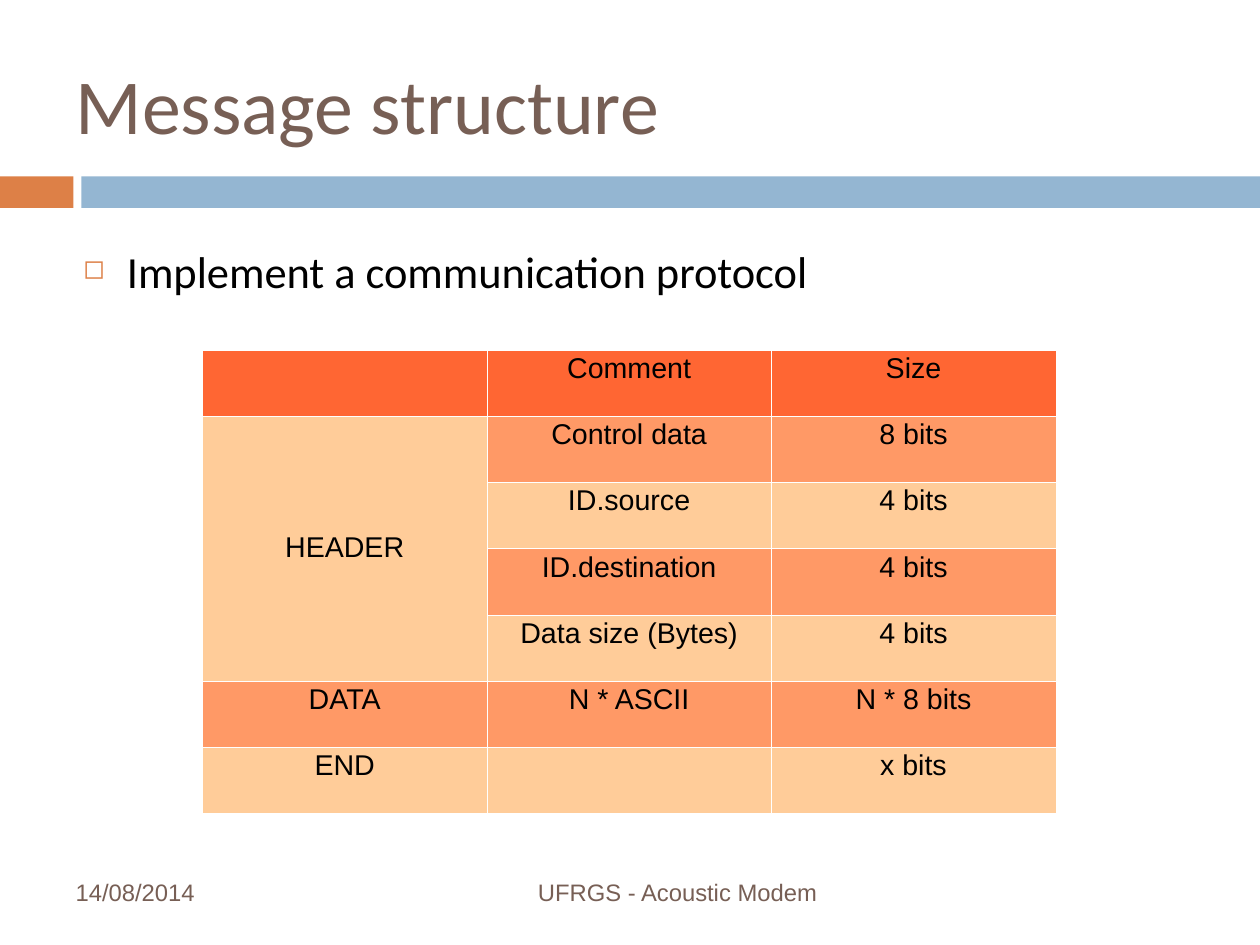
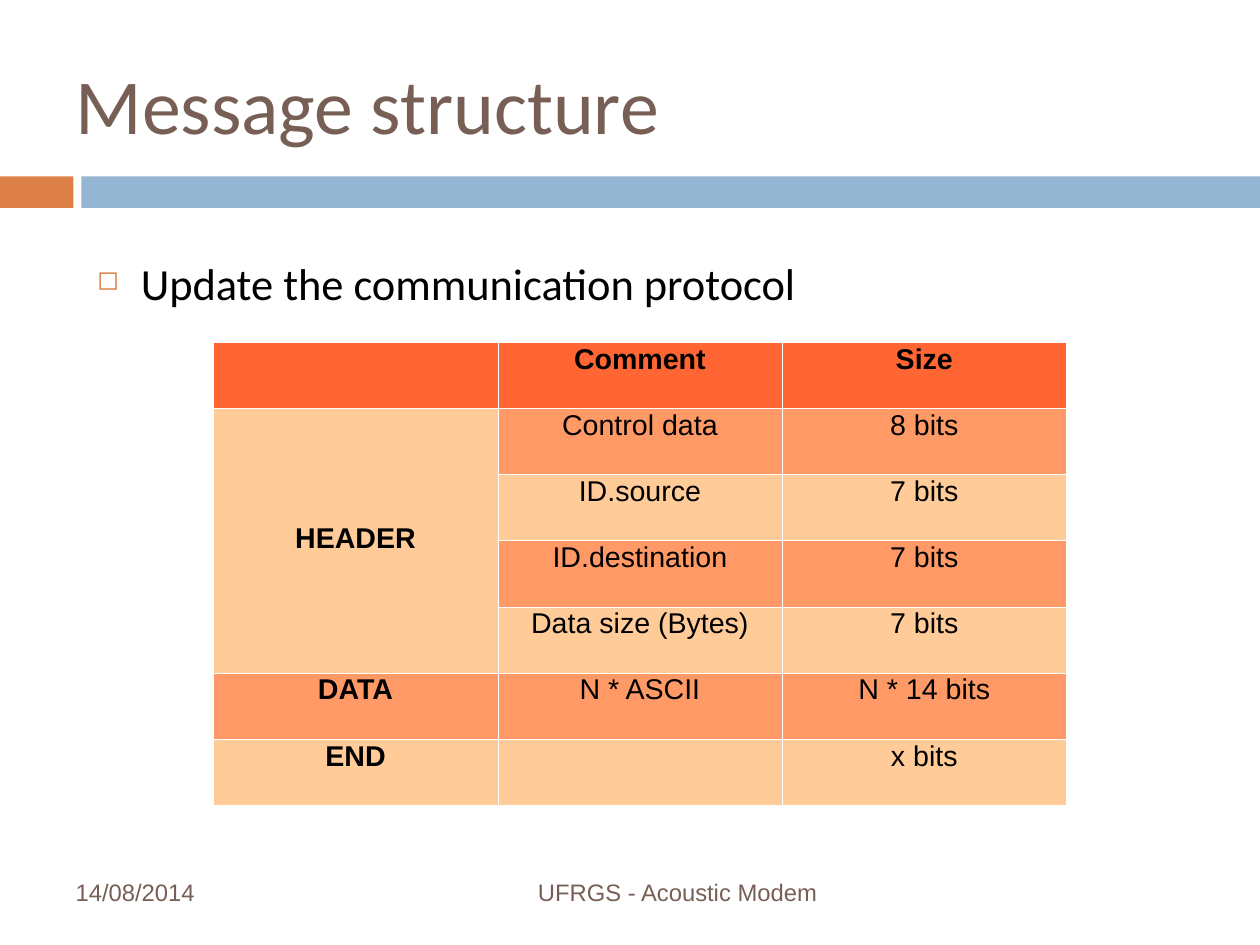
import pptx
import pptx.util
import pptx.dml.color
import pptx.enum.shapes
import pptx.enum.text
import pptx.oxml
import pptx.oxml.ns
from lxml import etree

Cm = pptx.util.Cm
Pt = pptx.util.Pt
RGB = pptx.dml.color.RGBColor
ALIGN = pptx.enum.text.PP_ALIGN
ANCHOR = pptx.enum.text.MSO_ANCHOR
qn = pptx.oxml.ns.qn

WIDTH, HEIGHT = 28, 21
EDGE = 1.4
BROWN = RGB(0x77, 0x5F, 0x55)
RUST = RGB(0xDD, 0x80, 0x47)
BLUE = RGB(0x94, 0xB6, 0xD2)
BLACK = RGB(0, 0, 0)
WHITE = RGB(0xFF, 0xFF, 0xFF)
HEAD = RGB(0xFF, 0x66, 0x33)
DARK = RGB(0xFF, 0x99, 0x66)
LIGHT = RGB(0xFF, 0xCC, 0x99)

COLS, COL_W, ROW_H = 3, 6.32, 1.47
SPAN = (1, 4)  # rows joined under HEADER


def add_run(para, text, size, font, color, bold=False):
    run = para.add_run()
    run.text = text
    run.font.size = Pt(size)
    run.font.name = font
    run.font.bold = bold
    run.font.color.rgb = color


def add_text(slide, box, anchor=ANCHOR.MIDDLE, top=0.15):
    """Add an empty text box and return its first paragraph."""
    frame = slide.shapes.add_textbox(*map(Cm, box)).text_frame
    frame.word_wrap = True
    frame.vertical_anchor = anchor
    frame.margin_left = frame.margin_right = Cm(0.28)
    frame.margin_top, frame.margin_bottom = Cm(top), Cm(0.15)
    return frame.paragraphs[0]


def add_band(slide, left, top, width, height, color):
    band = slide.shapes.add_shape(
        pptx.enum.shapes.MSO_SHAPE.RECTANGLE,
        Cm(left), Cm(top), Cm(width), Cm(height))
    band.shadow.inherit = False
    band.fill.solid()
    band.fill.fore_color.rgb = color
    band.line.fill.background()


def add_frame(slide, title):
    """Place the bands, title and footers that every slide has."""
    top, high, split, gap = 3.92, 0.7, 1.63, 0.18
    add_band(slide, 0, top, split, high, RUST)
    start = split + gap
    add_band(slide, start, top, WIDTH - start, high, BLUE)

    para = add_text(slide, (EDGE, 0.79, 22.5, 3.07), top=0.1)
    add_run(para, title, 49, "Calibri", BROWN)

    for left, width, align, text in (
            (EDGE, 6.53, ALIGN.LEFT, "14/08/2014"),
            (9.58, 8.86, ALIGN.RIGHT, "UFRGS - Acoustic Modem")):
        para = add_text(slide, (left, 19.13, width, 1.45))
        para.alignment = align
        para.line_spacing = 0.94
        add_run(para, text, 15, "Arial", BROWN)


def add_point(slide, left, top, text):
    """Place a line with a hollow square bullet."""
    para = add_text(slide, (left, top, 24.97, 13.77), ANCHOR.TOP)
    props = para._p.get_or_add_pPr()
    props.set("marL", str(Cm(0.97)))
    props.set("indent", str(-Cm(0.97)))
    tint = etree.SubElement(props, qn("a:buClr"))
    etree.SubElement(tint, qn("a:srgbClr"), val=str(RUST))
    etree.SubElement(props, qn("a:buSzPct"), val="60000")
    etree.SubElement(props, qn("a:buChar"), char="◻")
    add_run(para, text, 28, "Calibri", BLACK)


def add_edges(cell):
    """Draw a white hairline on all four sides of a cell."""
    props = cell._tc.get_or_add_tcPr()
    for spot, side in enumerate(("lnL", "lnR", "lnT", "lnB")):
        line = etree.Element(qn("a:" + side), w=str(Pt(0.06)))
        fill = etree.SubElement(line, qn("a:solidFill"))
        etree.SubElement(fill, qn("a:srgbClr"), val=str(WHITE))
        props.insert(spot, line)


def add_grid(slide, left, top, rows, space, strong):
    """Place the message table; strong makes its headings bold."""
    count = len(rows)
    table = slide.shapes.add_table(
        count, COLS, Cm(left), Cm(top),
        Cm(COLS * COL_W), Cm(count * ROW_H)).table
    table.first_row = table.horz_banding = False
    for col in table.columns:
        col.width = Cm(COL_W)
    first, last = SPAN
    for r, row in enumerate(rows):
        table.rows[r].height = Cm(ROW_H)
        for c, text in enumerate(row):
            cell = table.cell(r, c)
            joined = c == 0 and first <= r <= last
            cell.fill.solid()
            cell.fill.fore_color.rgb = (
                HEAD if r == 0 else
                LIGHT if joined or r % 2 == 0 else DARK)
            add_edges(cell)
            if joined:
                cell.vertical_anchor = ANCHOR.MIDDLE
            if text:
                para = cell.text_frame.paragraphs[0]
                para.alignment = ALIGN.CENTER
                para.line_spacing = space
                add_run(para, text, 18, "Arial", BLACK,
                        strong and (r == 0 or c == 0))
    table.cell(first, 0).merge(table.cell(last, 0))


def list_rows(ident, data):
    """Return the table's rows for the given field sizes."""
    return [
        ("", "Comment", "Size"),
        ("HEADER", "Control data", "8 bits"),
        ("", "ID.source", ident),
        ("", "ID.destination", ident),
        ("", "Data size (Bytes)", ident),
        ("DATA", "N * ASCII", data),
        ("END", "", "x bits"),
    ]


def main():
    deck = pptx.Presentation()
    deck.slide_width, deck.slide_height = Cm(WIDTH), Cm(HEIGHT)
    for point, grid in (
            ((1.57, 5.28, "Implement a communication protocol"),
             (4.5, 7.78, list_rows("4 bits", "N * 8 bits"), 0.89, False)),
            ((1.88, 5.54, "Update the communication protocol"),
             (4.74, 7.6, list_rows("7 bits", "N * 14 bits"), 0.84, True))):
        slide = deck.slides.add_slide(deck.slide_layouts[6])
        add_frame(slide, "Message structure")
        add_grid(slide, *grid)
        add_point(slide, *point)
    deck.save("out.pptx")


if __name__ == "__main__":
    main()
